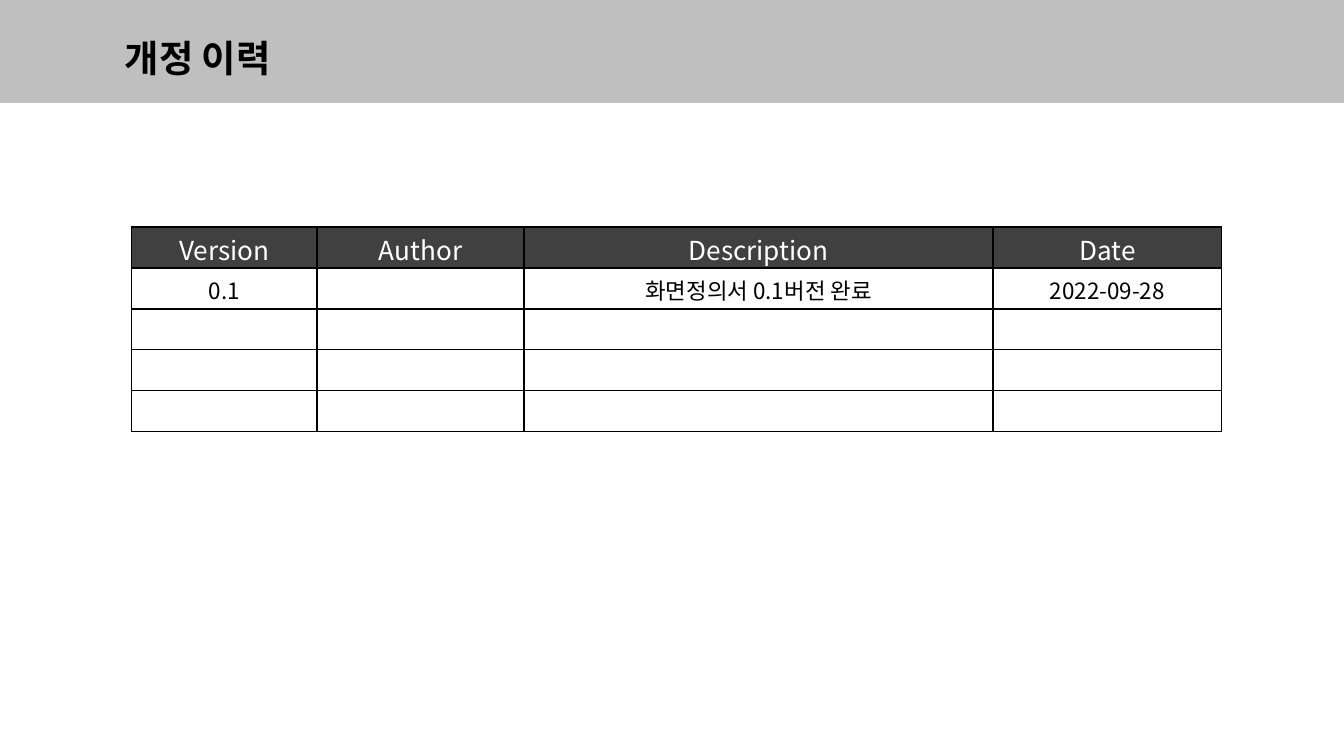
from lxml import etree
from pptx import Presentation
from pptx.dml.color import RGBColor
from pptx.enum.shapes import MSO_SHAPE
from pptx.enum.text import PP_ALIGN
from pptx.oxml.ns import qn
from pptx.util import Inches, Pt

RECT = MSO_SHAPE.RECTANGLE
CENTER = PP_ALIGN.CENTER
FONT = "Noto Sans CJK KR"
WIDE = 10
HIGH = WIDE * 9 / 16
COLS = [1.38, 1.54, 3.49, 1.7]
ROWS = [
    ["Version", "Author", "Description", "Date"],
    ["0.1", "", "화면정의서 0.1버전 완료", "2022-09-28"],
    [""] * 4,
    [""] * 4,
    [""] * 4,
]
TALL = 1.52


def paint(color, tone):
    color.rgb = RGBColor.from_string(tone)


def fill(item, tone):
    item.fill.solid()
    paint(item.fill.fore_color, tone)


def add_run(para, text, size, tone, bold=False):
    run = para.add_run()
    run.text = text
    font = run.font
    font.size, font.bold, font.name = Pt(size), bold, FONT
    paint(font.color, tone)
    etree.SubElement(font._element, qn("a:ea"), typeface=FONT)


def add_band(slide):
    band = slide.shapes.add_shape(RECT, 0, 0, Inches(WIDE), Inches(0.75))
    band.shadow.inherit = False
    fill(band, "BFBFBF")
    paint(band.line.color, "BFBFBF")
    band.line.width = Pt(2)


def add_title(slide, text):
    box = slide.shapes.add_textbox(*map(Inches, (0.83, 0.21, 2.6, 0.44)))
    box.text_frame.word_wrap = True
    add_run(box.text_frame.paragraphs[0], text, 20, "000000", True)


def add_edges(cell):
    props = cell._tc.get_or_add_tcPr()
    for spot, side in enumerate(("lnL", "lnR", "lnT", "lnB")):
        edge = etree.Element(qn("a:" + side), w=str(Pt(1)))
        solid = etree.SubElement(edge, qn("a:solidFill"))
        etree.SubElement(solid, qn("a:srgbClr"), val="000000")
        props.insert(spot, edge)


def fill_cell(cell, text, head):
    cell.margin_left = cell.margin_right = Inches(0.1)
    cell.margin_top = Inches(0.02 if head else 0.04)
    cell.margin_bottom = 0
    if head:
        fill(cell, "404040")
    else:
        cell.fill.background()
    add_edges(cell)
    para = cell.text_frame.paragraphs[0]
    para.alignment = CENTER
    if text:
        add_run(para, text, 14 if head else 12, "FFFFFF" if head else "000000")
    else:
        etree.SubElement(para._p, qn("a:endParaRPr"), sz="1200")


def add_grid(slide):
    size = (0.98, 1.69, sum(COLS), TALL)
    frame = slide.shapes.add_table(len(ROWS), len(COLS), *map(Inches, size))
    table = frame.table
    table.first_row = table.horz_banding = False
    for col, width in zip(table.columns, COLS):
        col.width = Inches(width)
    for i, texts in enumerate(ROWS):
        table.rows[i].height = Inches(TALL / len(ROWS))
        for j, text in enumerate(texts):
            fill_cell(table.cell(i, j), text, i == 0)


def main():
    deck = Presentation()
    deck.slide_width, deck.slide_height = Inches(WIDE), Inches(HIGH)
    slide = deck.slides.add_slide(deck.slide_layouts[6])
    add_band(slide)
    add_title(slide, "개정 이력")
    add_grid(slide)
    deck.save("out.pptx")


if __name__ == "__main__":
    main()
